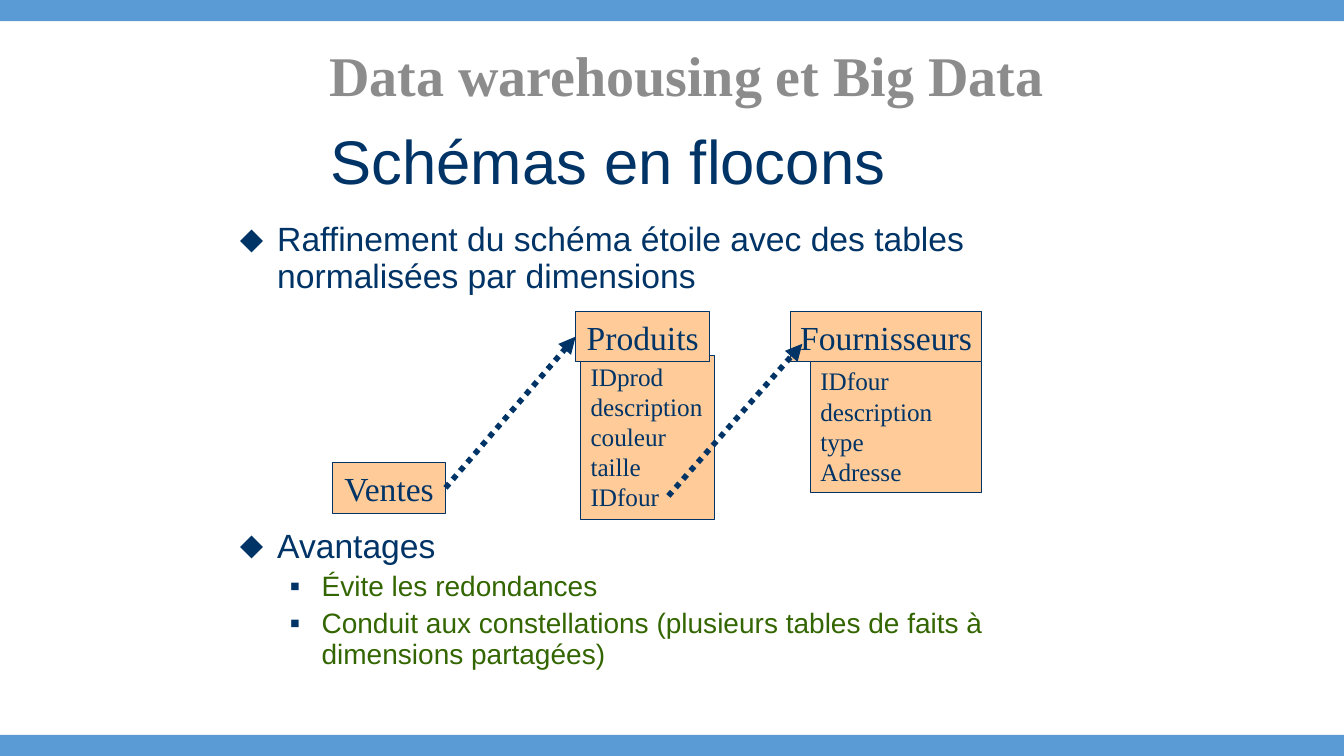
from dataclasses import dataclass

from lxml.etree import SubElement
from pptx import Presentation
from pptx.dml.color import RGBColor
from pptx.enum.dml import MSO_LINE_DASH_STYLE as Dash
from pptx.enum.shapes import MSO_CONNECTOR as Connector, MSO_SHAPE as Shape
from pptx.enum.text import MSO_ANCHOR as Anchor, MSO_AUTO_SIZE as AutoSize, PP_ALIGN as Align
from pptx.oxml.ns import qn
from pptx.util import Inches, Pt

SLIDE_W, SLIDE_H = Inches(13.33), Inches(7.5)


@dataclass(frozen=True)
class Theme:
    navy: str = "003366"
    green: str = "336600"
    peach: str = "FFCC99"
    blue: str = "5B9BD5"
    gray: str = "8C8C8C"
    sans: str = "Arial"
    serif: str = "Times New Roman"
    title: int = 44
    header: int = 40
    body: int = 24
    detail: int = 20
    field: int = 18


T = Theme()


def grid(col, row, cols, rows):
    """Convert a cell range on a 100 x 100 grid over the slide to lengths."""
    return (round(col * SLIDE_W / 100), round(row * SLIDE_H / 100),
            round(cols * SLIDE_W / 100), round(rows * SLIDE_H / 100))


def place(s, area):
    s.left, s.top, s.width, s.height = grid(*area)


def rgb(value):
    return RGBColor.from_string(value)


def setup_frame(tf, anchor=Anchor.TOP, wrap=True):
    tf.auto_size = AutoSize.NONE
    tf.word_wrap = wrap
    tf.vertical_anchor = anchor
    return tf


def write(tf, text, size=T.body, color=T.navy, font=T.serif, bold=False,
          align=Align.LEFT, level=0, spacing=None, before=0):
    """Fill the empty first paragraph of a frame, or append a paragraph."""
    p = tf.paragraphs[0] if not tf.text else tf.add_paragraph()
    p.level, p.alignment = level, align
    p.line_spacing, p.space_before = spacing, Pt(before)
    r = p.add_run()
    r.text = text
    r.font.name, r.font.size, r.font.bold = font, Pt(size), bold
    r.font.color.rgb = rgb(color)
    return p


def add_bullet(p, char, margin, hanging, percent=100):
    pPr = p._p.get_or_add_pPr()
    pPr.set("marL", str(Inches(margin)))
    pPr.set("indent", str(-Inches(hanging)))
    SubElement(SubElement(pPr, qn("a:buClr")), qn("a:srgbClr"), val=T.navy)
    SubElement(pPr, qn("a:buSzPct"), val=str(percent * 1000))
    SubElement(pPr, qn("a:buFont"), typeface=T.sans)
    SubElement(pPr, qn("a:buChar"), char=char)


def point(tf, text, before=0):
    p = write(tf, text, font=T.sans, spacing=0.9, before=before)
    add_bullet(p, "⬥", 0.37, 0.37)


def subpoint(tf, text):
    p = write(tf, text, T.detail, T.green, T.sans, level=1, spacing=0.9, before=5)
    add_bullet(p, "■", 0.81, 0.31, percent=55)


def add_box(slide, area, fill, line=None):
    s = slide.shapes.add_shape(Shape.RECTANGLE, *grid(*area))
    s.shadow.inherit = False
    s.fill.solid()
    s.fill.fore_color.rgb = rgb(fill)
    if line:
        s.line.color.rgb = rgb(line)
        s.line.width = Pt(0.75)
    else:
        s.line.fill.background()
    return s


def add_fields(slide, area, names):
    s = add_box(slide, area, T.peach, T.navy)
    tf = setup_frame(s.text_frame, wrap=False)
    for name in names:
        write(tf, name, T.field)


def add_entity(slide, name, col, row, cols):
    s = add_box(slide, (col, row, cols, 6.67), T.peach, T.navy)
    tf = setup_frame(s.text_frame, Anchor.MIDDLE, wrap=False)
    write(tf, name, align=Align.CENTER)
    return s


def add_arrow(slide, start, end):
    """Draw a dotted arrow between two grid points."""
    c = slide.shapes.add_connector(Connector.STRAIGHT, *grid(*start, *end))
    c.line.color.rgb = rgb(T.navy)
    c.line.width = Pt(4)
    c.line.dash_style = Dash.ROUND_DOT
    SubElement(c.line._get_or_add_ln(), qn("a:tailEnd"), type="triangle")
    SubElement(c._element.spPr, qn("a:effectLst"))
    return c


def add_heading(slide):
    for row in (0, 97.2):
        add_box(slide, (0, row, 100, 2.8), T.blue)
    header = slide.shapes.add_textbox(*grid(3.6, 4.4, 94.95, 10.8))
    write(setup_frame(header.text_frame, Anchor.MIDDLE), "Data warehousing et Big Data",
          T.header, T.gray, bold=True, align=Align.CENTER)
    title = slide.shapes.title
    place(title, (23.85, 17.2, 60.53, 9.33))
    write(setup_frame(title.text_frame, Anchor.MIDDLE), "Schémas en flocons",
          T.title, font=T.sans, spacing=0.85)


def add_points(slide):
    body = slide.placeholders[1]
    place(body, (17.1, 28.8, 65.25, 62.67))
    tf = setup_frame(body.text_frame)
    point(tf, "Raffinement du schéma étoile avec des tables normalisées par dimensions")
    point(tf, "Avantages", before=167)  # leaves room for the diagram
    subpoint(tf, "Évite les redondances")
    subpoint(tf, "Conduit aux constellations (plusieurs tables de faits à dimensions partagées)")


def add_diagram(slide):
    add_fields(slide, (43.2, 47.07, 9.98, 21.6),
               ("IDprod", "description", "couleur", "taille", "IDfour"))
    products = add_entity(slide, "Produits", 42.83, 41.2, 9.98)
    add_fields(slide, (60.3, 47.73, 12.75, 17.47),
               ("IDfour", "description", "type", "Adresse"))
    add_entity(slide, "Fournisseurs", 58.8, 41.2, 14.25)
    sales = add_entity(slide, "Ventes", 24.75, 61.2, 8.4)
    add_arrow(slide, (49.73, 65.6), (59.7, 45.47))
    sale_arrow = add_arrow(slide, (33.45, 64.53), (43.43, 44.4))
    sale_arrow.begin_connect(sales, 3)
    sale_arrow.end_connect(products, 1)


def main():
    prs = Presentation()
    prs.slide_width, prs.slide_height = SLIDE_W, SLIDE_H
    slide = prs.slides.add_slide(prs.slide_layouts[1])
    add_heading(slide)
    add_points(slide)
    add_diagram(slide)
    prs.save("out.pptx")


if __name__ == "__main__":
    main()
